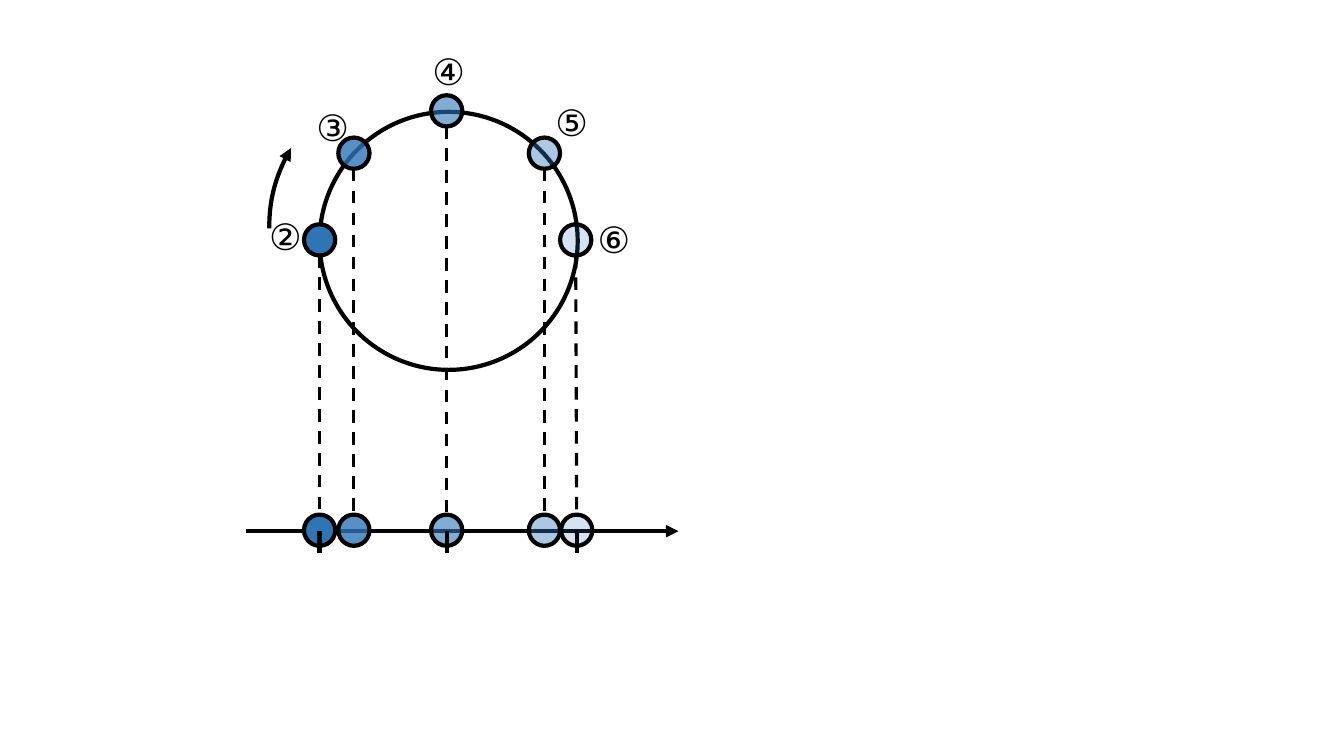
from lxml import etree
from pptx import Presentation
from pptx.dml.color import RGBColor
from pptx.enum.dml import MSO_LINE
from pptx.enum.shapes import MSO_CONNECTOR, MSO_SHAPE
from pptx.enum.text import MSO_AUTO_SIZE
from pptx.oxml.ns import qn
from pptx.util import Inches, Pt

BLACK = RGBColor(0x00, 0x00, 0x00)
BLUE = RGBColor(0x2E, 0x75, 0xB6)
DASH = MSO_LINE.DASH
STRAIGHT = MSO_CONNECTOR.STRAIGHT
OVAL = MSO_SHAPE.OVAL
ARC = MSO_SHAPE.ARC
GROW = MSO_AUTO_SIZE.SHAPE_TO_FIT_TEXT

BALL_RADIUS = 0.155
AXIS_Y = 5.27

# x and y on the ring, x on the axis, opacity in percent
BALLS = [
    (3.17, 2.38, 3.17, 100),
    (3.51, 1.52, 3.51, 80),
    (4.43, 1.10, 4.43, 60),
    (5.40, 1.52, 5.40, 40),
    (5.71, 2.38, 5.72, 20),
]
TICKS = [3.17, 4.43, 5.72]

# text, left, top, width
LABELS = [
    ("②", 2.57, 2.08, 2.25),
    ("③", 3.04, 0.99, 0.47),
    ("④", 4.19, 0.44, 0.48),
    ("⑤", 5.41, 0.94, 0.51),
    ("⑥", 5.83, 2.11, 0.55),
]


def set_line(line, width):
    line.color.rgb = BLACK
    line.width = Pt(width)


def add_arrowhead(line):
    tail = etree.SubElement(line._get_or_add_ln(), qn("a:tailEnd"))
    tail.set("type", "triangle")


def add_outline(slide, kind, left, top, size):
    shape = slide.shapes.add_shape(
        kind, Inches(left), Inches(top), Inches(size), Inches(size))
    shape.shadow.inherit = False
    shape.fill.background()
    set_line(shape.line, 3)
    return shape


def add_ball(slide, center_x, center_y, opacity):
    ball = add_outline(slide, OVAL, center_x - BALL_RADIUS,
                       center_y - BALL_RADIUS, 2 * BALL_RADIUS)
    ball.fill.solid()
    ball.fill.fore_color.rgb = BLUE
    if opacity < 100:
        color = ball._element.spPr.find(qn("a:solidFill"))[0]
        etree.SubElement(color, qn("a:alpha")).set("val", str(opacity * 1000))


def add_line(slide, start, end, width=3):
    connector = slide.shapes.add_connector(
        STRAIGHT, *(Inches(value) for value in start + end))
    set_line(connector.line, width)
    etree.SubElement(connector._element.spPr, qn("a:effectLst"))
    return connector


def add_label(slide, text, left, top, width):
    box = slide.shapes.add_textbox(
        Inches(left), Inches(top), Inches(width), Inches(0.54))
    frame = box.text_frame
    frame.word_wrap = True
    frame.auto_size = GROW
    frame.text = text
    font = frame.paragraphs[0].runs[0].font
    font.name = "Arial"
    font.size = Pt(26)
    font.color.rgb = BLACK


def main():
    presentation = Presentation()
    presentation.slide_width = Inches(13.33)
    presentation.slide_height = Inches(7.5)
    slide = presentation.slides.add_slide(presentation.slide_layouts[6])

    # Ring with the balls on it
    add_outline(slide, OVAL, 3.17, 1.11, 2.56)
    for ring_x, ring_y, _, opacity in BALLS:
        add_ball(slide, ring_x, ring_y, opacity)

    # Axis with the projected balls
    axis = add_line(slide, (2.44, AXIS_Y), (6.73, AXIS_Y))
    add_arrowhead(axis.line)
    for _, _, axis_x, opacity in BALLS:
        add_ball(slide, axis_x, AXIS_Y - 0.01, opacity)

    # Dashed projection lines
    for ring_x, ring_y, axis_x, _ in BALLS:
        guide = add_line(slide, (ring_x, ring_y + BALL_RADIUS),
                         (axis_x, AXIS_Y - BALL_RADIUS), 2.25)
        guide.line.dash_style = DASH

    # Direction of rotation
    rotation = add_outline(slide, ARC, 2.67, 0.69, 3.15)
    rotation.rotation = 270
    rotation.adjustments[0] = 162
    rotation.adjustments[1] = 180.241
    add_arrowhead(rotation.line)

    # Axis ticks and ball numbers
    for tick_x in TICKS:
        add_line(slide, (tick_x, AXIS_Y), (tick_x, AXIS_Y + 0.22))
    for label in LABELS:
        add_label(slide, *label)

    presentation.save("out.pptx")


if __name__ == "__main__":
    main()
